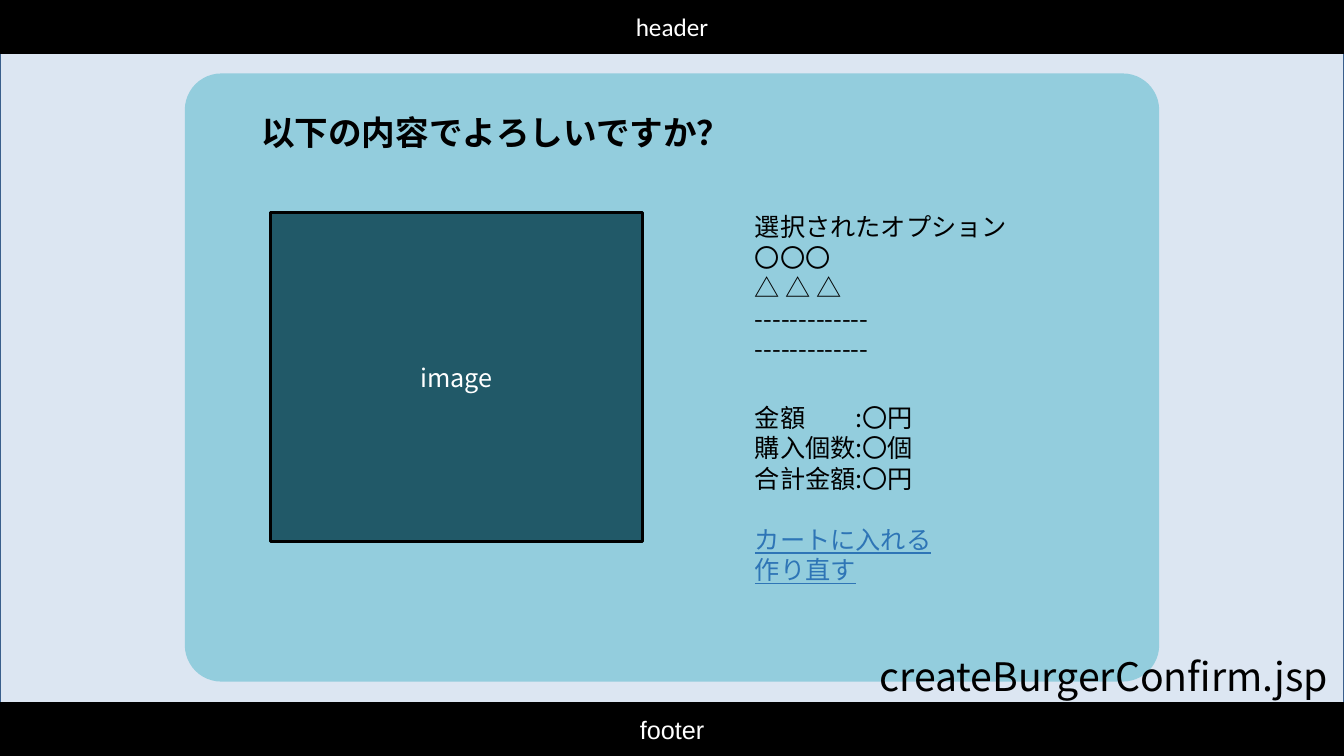
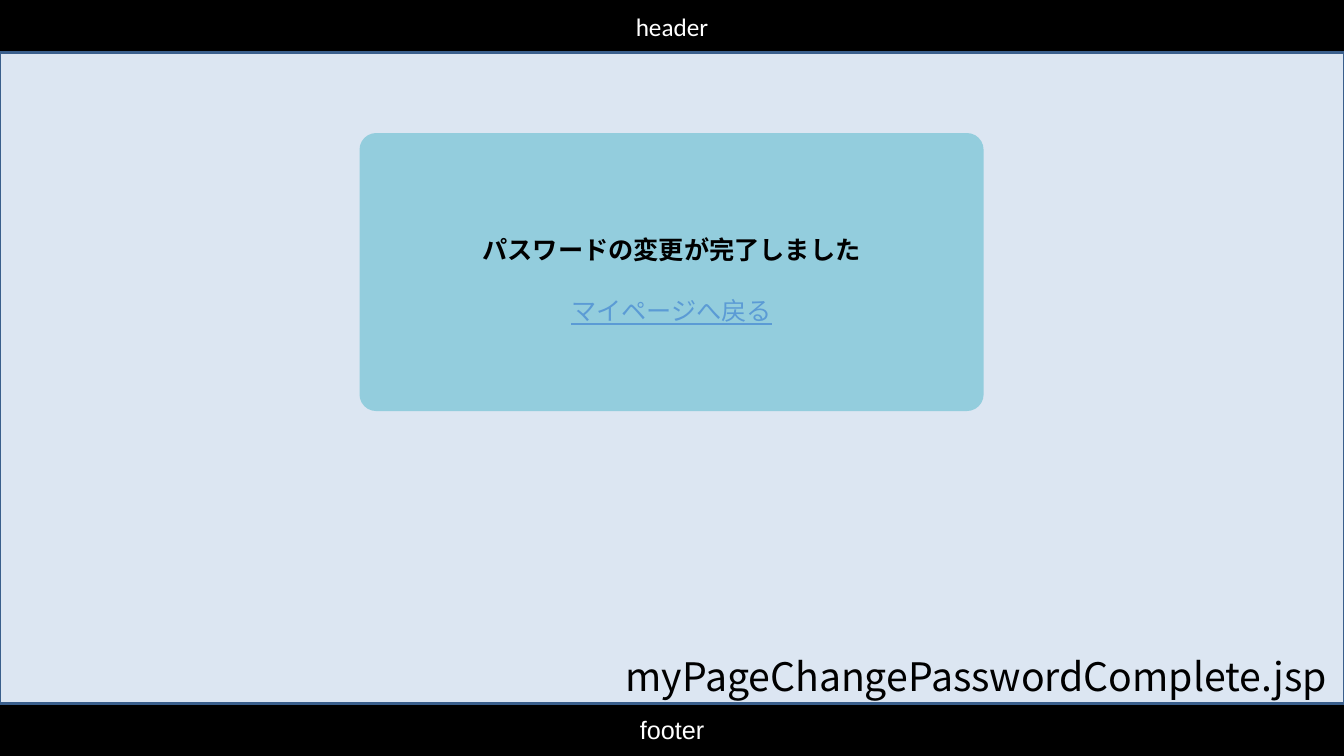
from dataclasses import dataclass

from lxml import etree
from pptx import Presentation, util as u
from pptx.dml.color import RGBColor
from pptx.enum import shapes, text
from pptx.oxml import ns

COLUMNS, ROWS = 160, 90
CELL = u.Inches(1) / 12  # the grid is square, twelve cells to the inch
BAND_ROWS = 6.24
LEFT, CENTER = text.PP_ALIGN.LEFT, text.PP_ALIGN.CENTER
RECTANGLE = shapes.MSO_SHAPE.RECTANGLE
ROUNDED = shapes.MSO_SHAPE.ROUNDED_RECTANGLE


@dataclass(frozen=True)
class Theme:
    black: str = "000000"
    white: str = "FFFFFF"
    canvas: str = "DCE6F2"
    canvas_edge: str = "3A5F8C"
    card: str = "93CDDD"
    image: str = "215968"
    link: str = "2E75B6"
    light_link: str = "5B9BD5"
    body_font: str = "Noto Sans CJK JP"
    header_font: str = "Calibri"
    footer_font: str = "Arial"
    body: int = 18
    question: int = 24
    file_name: int = 28
    line_width: int = 2
    leading: float = 1.21
    file_leading: float = 1.3
    corner: float = 0.06


THEME = Theme()


@dataclass(frozen=True)
class Box:
    """A region in grid columns and rows."""
    column: float
    row: float
    width: float
    height: float

    def inner(self, column, row, width, height):
        return Box(self.column + column, self.row + row, width, height)

    def lengths(self):
        return [u.Emu(round(cells * CELL))
                for cells in (self.column, self.row, self.width, self.height)]


@dataclass(frozen=True)
class Line:
    words: str
    color: str = THEME.black
    bold: bool = False
    underline: bool = False
    gap: bool = False  # leave one line free above


SLIDE = Box(0, 0, COLUMNS, ROWS)


def add_span(para, line, size, font):
    span = para.add_run()
    span.text = line.words
    span.font.size = u.Pt(size)
    span.font.name = font
    span.font.bold = line.bold
    span.font.underline = line.underline
    span.font.color.rgb = RGBColor.from_string(line.color)
    east_asian = etree.SubElement(span._r.get_or_add_rPr(), ns.qn("a:ea"))
    east_asian.set("typeface", font)


def add_tab_stop(para):
    stops = etree.SubElement(para._p.get_or_add_pPr(), ns.qn("a:tabLst"))
    stop = etree.SubElement(stops, ns.qn("a:tab"))
    stop.set("pos", str(u.Inches(1)))
    stop.set("algn", "l")


def add_text(page, box, lines, size=THEME.body, align=LEFT, leading=THEME.leading):
    frame = page.shapes.add_textbox(*box.lengths()).text_frame
    frame.word_wrap = True
    pitch = u.Pt(round(size * leading, 1))
    for index, line in enumerate(lines):
        para = frame.add_paragraph() if index else frame.paragraphs[0]
        para.alignment = align
        para.line_spacing = pitch
        if line.gap:
            para.space_before = pitch
        if "\t" in line.words:
            add_tab_stop(para)
        add_span(para, line, size, THEME.body_font)


def add_panel(page, box, fill, edge=None, kind=RECTANGLE, label=None, font=THEME.body_font):
    panel = page.shapes.add_shape(kind, *box.lengths())
    panel.shadow.inherit = False
    panel.fill.solid()
    panel.fill.fore_color.rgb = RGBColor.from_string(fill)
    if edge:
        panel.line.color.rgb = RGBColor.from_string(edge)
        panel.line.width = u.Pt(THEME.line_width)
    else:
        panel.line.fill.background()
    if kind == ROUNDED:
        panel.adjustments[0] = THEME.corner
    if label:
        panel.text_frame.vertical_anchor = text.MSO_ANCHOR.MIDDLE
        para = panel.text_frame.paragraphs[0]
        para.alignment = CENTER
        add_span(para, Line(label, THEME.white), THEME.body, font)


def add_bands(page, box):
    bands = ((0, "header", THEME.header_font),
             (box.height - BAND_ROWS, "footer", THEME.footer_font))
    for row, label, font in bands:
        add_panel(page, box.inner(0, row, box.width, BAND_ROWS),
                  THEME.black, THEME.black, label=label, font=font)


def add_frame(page, box, canvas_in_front=False):
    """Header, footer and the canvas between them; returns the canvas box."""
    canvas = box.inner(0, BAND_ROWS, box.width, box.height - 2 * BAND_ROWS)
    if canvas_in_front:
        add_bands(page, box)
    add_panel(page, canvas, THEME.canvas, THEME.canvas_edge)
    if not canvas_in_front:
        add_bands(page, box)
    return canvas


def add_file_name(page, canvas, name, width):
    add_text(page, canvas.inner(canvas.width - width, 70.4, width, 6.8),
             [Line(name)], THEME.file_name, leading=THEME.file_leading)


def add_order_card(page, card):
    add_panel(page, card, THEME.card, kind=ROUNDED)
    add_text(page, card.inner(7.9, 4, 65.3, 6),
             [Line("以下の内容でよろしいですか？", bold=True)], THEME.question)
    add_panel(page, card.inner(10.2, 16.6, 44.3, 39.1),
              THEME.image, THEME.black, label="image")
    # Chosen options
    dashes = "-" * 13
    options = ("選択されたオプション", "〇〇〇", "△ △ △", dashes, dashes)
    add_text(page, card.inner(66.7, 15.8, 41.3, 22.3), [Line(words) for words in options])
    # Amounts and next steps
    add_text(page, card.inner(66.7, 38.5, 47.5, 26.4), [
        Line("金額\t:〇円"),
        Line("購入個数:〇個"),
        Line("合計金額:〇円"),
        Line("カートに入れる", THEME.link, underline=True, gap=True),
        Line("作り直す", THEME.link, underline=True),
    ])


def add_message_card(page, card):
    add_panel(page, card, THEME.card, kind=ROUNDED)
    add_text(page, card.inner(0, 11.4, card.width, 12), [
        Line("パスワードの変更が完了しました", bold=True),
        Line("マイページへ戻る", THEME.light_link, underline=True, gap=True),
    ], align=CENTER)


def build_confirm(page):
    canvas = add_frame(page, SLIDE)
    add_order_card(page, canvas.inner(22, 2.5, 116, 72.4))
    add_file_name(page, canvas, "createBurgerConfirm.jsp", 56.5)


def build_password_complete(page):
    canvas = add_frame(page, SLIDE, canvas_in_front=True)
    add_message_card(page, canvas.inner(42.8, 9.6, 74.3, 33.1))
    add_file_name(page, canvas, "myPageChangePasswordComplete.jsp", 86.7)


def main():
    deck = Presentation()
    deck.slide_width, deck.slide_height = SLIDE.lengths()[2:]
    blank = deck.slide_layouts[6]
    for build in (build_confirm, build_password_complete):
        build(deck.slides.add_slide(blank))
    deck.save("out.pptx")


if __name__ == "__main__":
    main()
